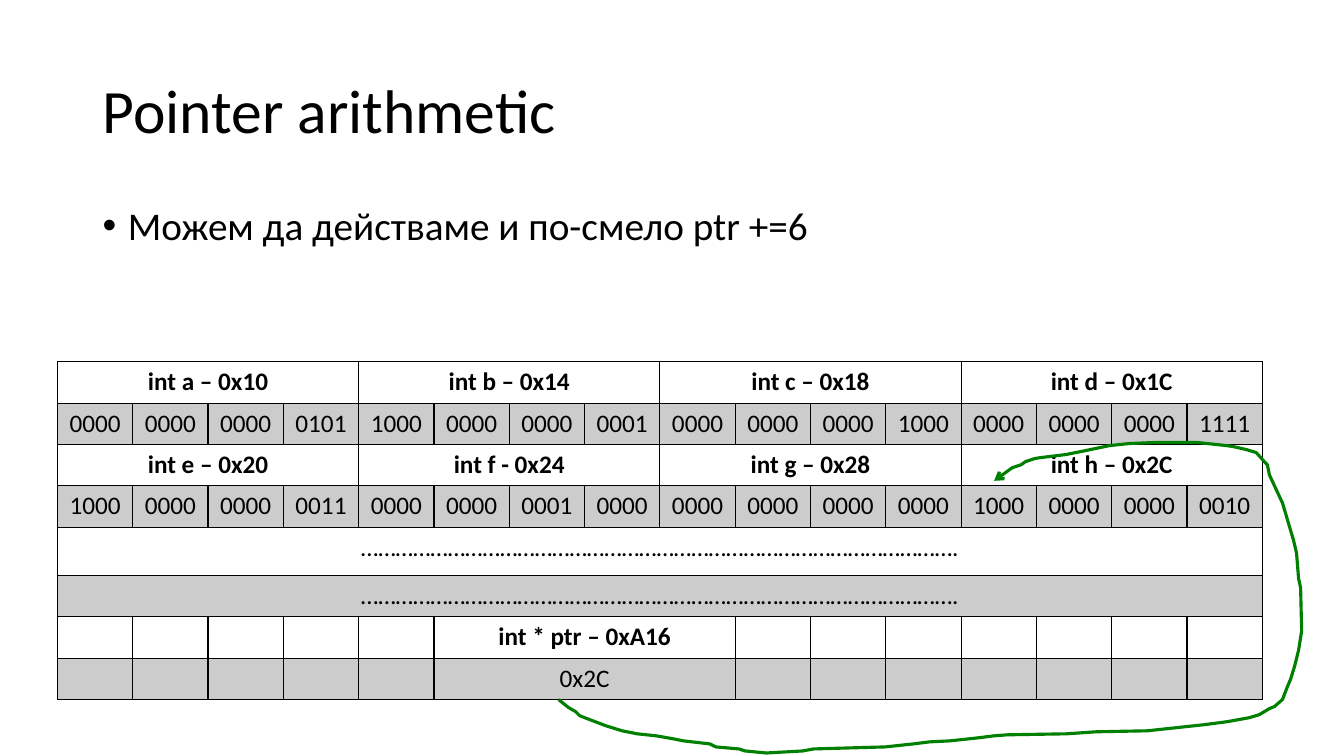
import pptx
import pptx.util
import pptx.dml.color
import pptx.enum.text
import lxml.etree
import pptx.oxml.ns

BLACK = pptx.dml.color.RGBColor(0x00, 0x00, 0x00)
GREEN = pptx.dml.color.RGBColor(0x00, 0x80, 0x00)
FONT = "Calibri"
COLUMNS = 16
INT_BYTES = 4
ROW_HEIGHT = 0.41
DOTS_HEIGHT = 0.48
DOTS = "…………………………………………………………………………………………."

qn = pptx.oxml.ns.qn
Inches = pptx.util.Inches
Pt = pptx.util.Pt


def style_text(para, size, bold=False):
    for span in para.runs:
        span.font.name = FONT
        span.font.size = Pt(size)
        span.font.bold = bold
        span.font.color.rgb = BLACK


def add_heading(page, top, height, text, size, anchor):
    """Add a text box on the slide's main column and return its paragraph."""
    box = page.shapes.add_textbox(Inches(0.92), Inches(top), Inches(11.5), Inches(height))
    box.text_frame.word_wrap = True
    box.text_frame.vertical_anchor = anchor
    para = box.text_frame.paragraphs[0]
    para.text = text
    para.line_spacing = 0.9
    style_text(para, size)
    return para


deck = pptx.Presentation()
deck.slide_width = Inches(13.33)
deck.slide_height = Inches(7.5)
page = deck.slides.add_slide(deck.slide_layouts[6])

# Title and bullet
add_heading(page, 0.4, 1.45, "Pointer arithmetic", 44, pptx.enum.text.MSO_ANCHOR.MIDDLE)
bullet = add_heading(page, 2, 4.76 / 3, "Можем да действаме и по-смело ptr +=6", 28,
                     pptx.enum.text.MSO_ANCHOR.TOP)
bullet.space_before = Pt(10)
bullet_props = bullet._p.get_or_add_pPr()
bullet_props.set("marL", str(Inches(0.25)))
bullet_props.set("indent", str(Inches(-0.25)))
lxml.etree.SubElement(bullet_props, qn("a:buFont")).set("typeface", "Arial")
lxml.etree.SubElement(bullet_props, qn("a:buChar")).set("char", "•")

# Memory map: rows of names (white) alternate with rows of values (grey);
# each row gives its texts, the first column and the columns per text
memory = [
    (["int a – 0x10", "int b – 0x14", "int c – 0x18", "int d – 0x1C"], 0, INT_BYTES),
    ("0000 0000 0000 0101 1000 0000 0000 0001 "
     "0000 0000 0000 1000 0000 0000 0000 1111".split(), 0, 1),
    (["int e – 0x20", "int f - 0x24", "int g – 0x28", "int h – 0x2C"], 0, INT_BYTES),
    ("1000 0000 0000 0011 0000 0000 0001 0000 "
     "0000 0000 0000 0000 1000 0000 0000 0010".split(), 0, 1),
    ([DOTS], 0, COLUMNS),
    ([DOTS], 0, COLUMNS),
    (["int * ptr – 0xA16"], 5, INT_BYTES),
    (["0x2C"], 5, INT_BYTES),
]
table_height = ROW_HEIGHT * (len(memory) - 1) + DOTS_HEIGHT
table = page.shapes.add_table(len(memory), COLUMNS, Inches(0.57), Inches(3.59),
                              Inches(11.95), Inches(table_height)).table
table.first_row = False
table.horz_banding = False
for row in table.rows:
    row.height = Inches(ROW_HEIGHT)
table.rows[4].height = Inches(DOTS_HEIGHT)

for row_index, (texts, first, width) in enumerate(memory):
    is_value_row = row_index % 2 == 1
    for column in range(COLUMNS):
        cell = table.cell(row_index, column)
        cell_props = cell._tc.get_or_add_tcPr()
        for side in ("a:lnL", "a:lnR", "a:lnT", "a:lnB"):
            border = lxml.etree.SubElement(cell_props, qn(side), w=str(Pt(1)))
            fill = lxml.etree.SubElement(border, qn("a:solidFill"))
            lxml.etree.SubElement(fill, qn("a:srgbClr"), val=str(BLACK))
        if is_value_row:
            cell.fill.solid()
            cell.fill.fore_color.rgb = BLACK
            color = cell_props.find(qn("a:solidFill")).find(qn("a:srgbClr"))
            lxml.etree.SubElement(color, qn("a:alpha"), val="20000")
        else:
            cell.fill.background()
    for index, text in enumerate(texts):
        column = first + index * width
        cell = table.cell(row_index, column)
        if width > 1:
            cell.merge(table.cell(row_index, column + width - 1))
        para = cell.text_frame.paragraphs[0]
        para.text = text
        para.alignment = pptx.enum.text.PP_ALIGN.CENTER
        style_text(para, 18, bold=not is_value_row and text != DOTS)

# Hand-drawn arrow from ptr to int h, in hundredths of an inch
arrow_points = [
    (554, 694), (564, 702), (571, 706), (575, 710), (580, 712), (601, 720),
    (617, 725), (632, 728), (651, 730), (668, 733), (678, 735), (704, 738),
    (710, 741), (733, 743), (739, 745), (760, 747), (796, 745), (807, 743),
    (878, 741), (906, 738), (922, 736), (942, 735), (970, 732), (986, 730),
    (999, 729), (1058, 728), (1087, 726), (1138, 725), (1194, 719),
    (1217, 716), (1239, 712), (1249, 709), (1259, 703), (1264, 701),
    (1272, 694), (1277, 681), (1280, 674), (1284, 661), (1288, 645),
    (1291, 626), (1290, 583), (1288, 574), (1286, 549), (1283, 536),
    (1280, 526), (1275, 509), (1272, 499), (1265, 484), (1259, 471),
    (1257, 461), (1254, 458), (1246, 449), (1236, 446), (1223, 443),
    (1216, 442), (1188, 439), (1145, 439), (1120, 440), (1101, 442),
    (1096, 443), (1072, 448), (1057, 451), (1032, 454), (1026, 455),
    (1017, 458), (1013, 461), (1004, 464), (993, 472), (986, 477),
]
builder = page.shapes.build_freeform(*arrow_points[0], scale=Inches(0.01))
builder.add_line_segments(arrow_points[1:], close=False)
arrow = builder.convert_to_shape()
arrow.shadow.inherit = False
arrow.fill.background()
arrow.line.color.rgb = GREEN
arrow.line.width = Pt(2.25)
arrow_line = arrow.line._get_or_add_ln()
lxml.etree.SubElement(arrow_line, qn("a:round"))
lxml.etree.SubElement(arrow_line, qn("a:tailEnd"), type="arrow")

deck.save("out.pptx")
